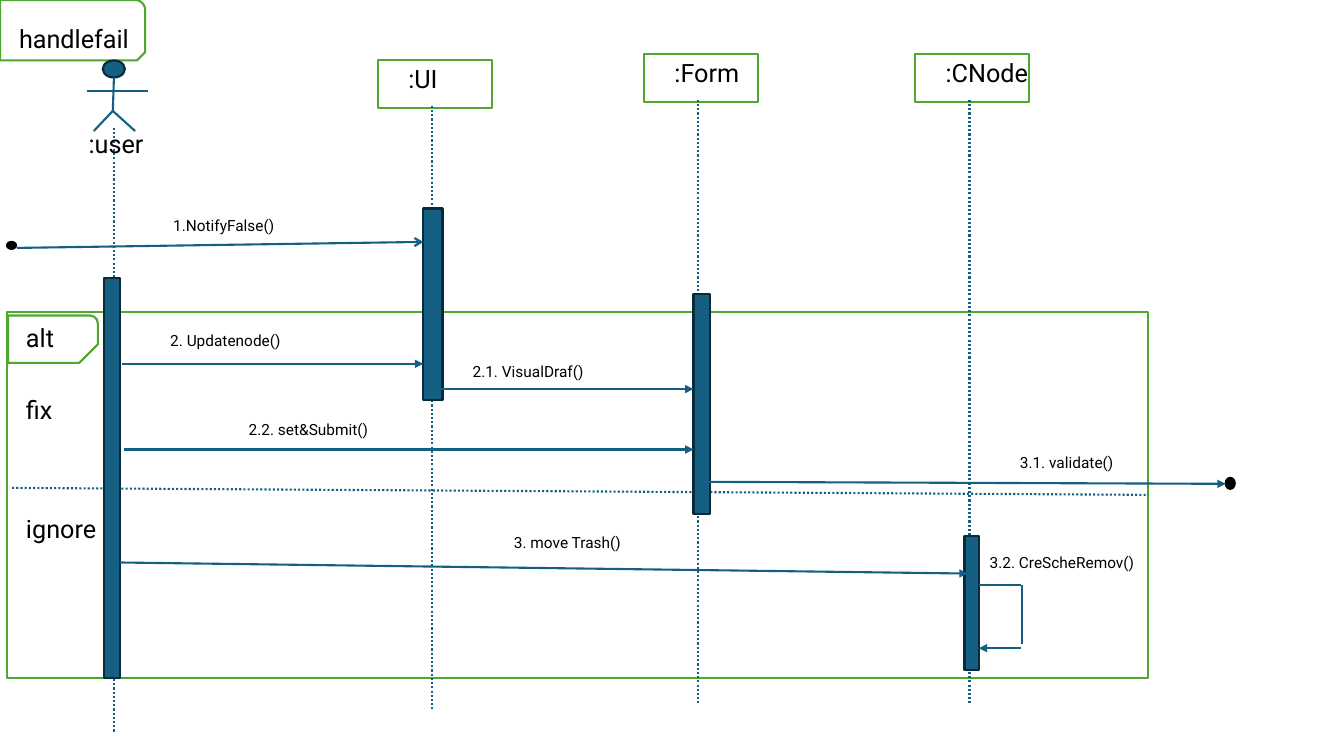
import pptx
import pptx.dml.color
import pptx.enum.dml
import pptx.enum.shapes
import pptx.oxml.ns
import pptx.oxml.xmlchemy
import pptx.util

Pt = pptx.util.Pt
SHAPE = pptx.enum.shapes.MSO_SHAPE

THEME = {
    "font": "Roboto", "ink": "000000", "paper": "FFFFFF",
    "frame": "4EA72E", "main": "156082", "edge": "092A39",
    "stroke": 1.5, "title": 18, "message": 11,
}
TITLE_HEIGHT, MESSAGE_HEIGHT = 28.8, 20.9
TITLE_WIDTH = 89.3

# Boxes are left, top, width, height; lines are x1, y1, x2, y2.
FRAME = (5, 223.2, 815, 261.4)
DIVIDER = (8.6, 348.5, 820.1, 353.5)
USER_LIFELINE = (81.4, 91.4, 81.4, 523.4)

# Box and snip size
TABS = [((0, 0, 103.7, 43.2), 0.135), ((5.8, 225.4, 64.1, 33.8), 0.393)]

# Text, left, top, width
TITLES = [
    ("handlefail", 6.5, 13, 100.1),
    ("alt", 11.5, 226.8, TITLE_WIDTH),
    ("fix", 11.5, 277.9, TITLE_WIDTH),
    ("ignore", 11.5, 362.9, TITLE_WIDTH),
    (":user", 56.2, 87.8, TITLE_WIDTH),
]

ACTOR_HEAD = (73.4, 43.2, 15.8, 12.2)
ACTOR_LIMBS = [
    (61.9, 64.8, 105.8, 64.8),
    (80.6, 79.2, 96.5, 93.6),
    (80.6, 79.2, 67, 93.6),
    (81.4, 55.4, 80.6, 79.2),
]

# Name, left, top
PARTICIPANTS = [(":UI", 270, 43.2), (":Form", 460.1, 38.9), (":CNode", 653.8, 38.9)]
PARTICIPANT_SIZE = (81.4, 33.8)

ACTIVATIONS = [
    (74.2, 198.7, 11.5, 285.8),
    (302.4, 149, 13.7, 136.8),
    (495.4, 210.2, 11.5, 157),
    (689, 383, 10.1, 95.8),
]
END_DOTS = [(5, 172.8, 6.5, 5), (875.5, 341.3, 6.5, 7.9)]

# Text, left, top and width of the label, arrow, arrowhead
MESSAGES = [
    ("1.NotifyFalse()", 116.6, 150.5, 89.3, (12.2, 177.1, 302.4, 172.8), "arrow"),
    ("2. Updatenode()", 114.5, 232.6, 101.5, (87.1, 259.9, 302.4, 259.9), "triangle"),
    ("2.1. VisualDraf()", 330.5, 254.9, 101.5, (311, 277.9, 495.4, 277.9), "triangle"),
    ("2.2. set&Submit()", 170.6, 296.6, 101.5, (88.6, 321.1, 495.4, 321.1), "triangle"),
    ("3.1. validate()", 721.4, 320.4, 101.5, (506.2, 344.2, 875.5, 345.6), "triangle"),
    ("3. move Trash()", 360, 377.3, 115.2, (85.7, 401.8, 691.2, 409.7), "triangle"),
    ("3.2. CreScheRemov()", 699.8, 391.7, 118.8, (729.4, 463, 699.1, 463), "triangle"),
]
SELF_CALL = [(699.1, 417.6, 729.4, 417.6), (730.1, 417.6, 730.1, 460.1)]


def color(name):
    return pptx.dml.color.RGBColor.from_string(THEME[name])


def add_box(shapes, kind, box, fill, line):
    shape = shapes.add_shape(kind, *map(Pt, box))
    shape.shadow.inherit = False
    shape.fill.solid()
    shape.fill.fore_color.rgb = color(fill)
    shape.line.color.rgb = color(line)
    shape.line.width = Pt(THEME["stroke"])
    return shape


def add_tab(shapes, box, snip):
    """Add a label tab: a rectangle turned a quarter, snipped at bottom right."""
    left, top, width, height = box
    shift = (width - height) / 2
    upright = (left + shift, top - shift, height, width)
    tab = add_box(shapes, SHAPE.SNIP_ROUND_RECTANGLE, upright, "paper", "frame")
    tab.rotation = 90
    tab.adjustments[0], tab.adjustments[1] = 0.167, snip


def add_line(shapes, ends, dotted=False, arrowhead=None):
    straight = pptx.enum.shapes.MSO_CONNECTOR.STRAIGHT
    connector = shapes.add_connector(straight, *map(Pt, ends))
    connector.line.color.rgb = color("main")
    connector.line.width = Pt(THEME["stroke"])
    if dotted:
        connector.line.dash_style = pptx.enum.dml.MSO_LINE.ROUND_DOT
    properties = connector._element.spPr
    if arrowhead:
        outline = properties.find(pptx.oxml.ns.qn("a:ln"))
        tail = pptx.oxml.xmlchemy.OxmlElement("a:tailEnd")
        tail.set("type", arrowhead)
        outline.append(tail)
    properties.append(pptx.oxml.xmlchemy.OxmlElement("a:effectLst"))


def add_text(shapes, text, box, size):
    frame = shapes.add_textbox(*map(Pt, box)).text_frame
    frame.word_wrap = True
    frame.text = text
    font = frame.paragraphs[0].runs[0].font
    for attribute, value in {"name": THEME["font"], "size": Pt(THEME[size])}.items():
        setattr(font, attribute, value)
    font.color.rgb = color("ink")


def add_actor(shapes):
    group = shapes.add_group_shape().shapes
    add_box(group, SHAPE.OVAL, ACTOR_HEAD, "main", "edge")
    for limb in ACTOR_LIMBS:
        add_line(group, limb)


def add_participant(shapes, name, left, top):
    """Add a named head with its lifeline."""
    group = shapes.add_group_shape().shapes
    add_box(group, SHAPE.RECTANGLE, (left, top, *PARTICIPANT_SIZE), "paper", "frame")
    add_text(group, name, (left + 14.6, top - 1.4, TITLE_WIDTH, TITLE_HEIGHT), "title")
    center = left + 38.7
    add_line(group, (center, top + 32.4, center, top + 463.7), dotted=True)


def main():
    presentation = pptx.Presentation()
    presentation.slide_width, presentation.slide_height = Pt(960), Pt(540)
    slide = presentation.slides.add_slide(presentation.slide_layouts[6])
    shapes = slide.shapes

    add_box(shapes, SHAPE.RECTANGLE, FRAME, "paper", "frame")
    add_line(shapes, DIVIDER, dotted=True)
    for box, snip in TABS:
        add_tab(shapes, box, snip)
    add_actor(shapes)
    add_line(shapes, USER_LIFELINE, dotted=True)
    for participant in PARTICIPANTS:
        add_participant(shapes, *participant)
    for box in ACTIVATIONS:
        add_box(shapes, SHAPE.RECTANGLE, box, "main", "edge")
    for box in END_DOTS:
        add_box(shapes, SHAPE.OVAL, box, "ink", "ink")
    for ends in SELF_CALL:
        add_line(shapes, ends)
    for text, left, top, width, ends, arrowhead in MESSAGES:
        add_line(shapes, ends, arrowhead=arrowhead)
        add_text(shapes, text, (left, top, width, MESSAGE_HEIGHT), "message")
    for text, left, top, width in TITLES:
        add_text(shapes, text, (left, top, width, TITLE_HEIGHT), "title")

    presentation.save("out.pptx")


if __name__ == "__main__":
    main()
